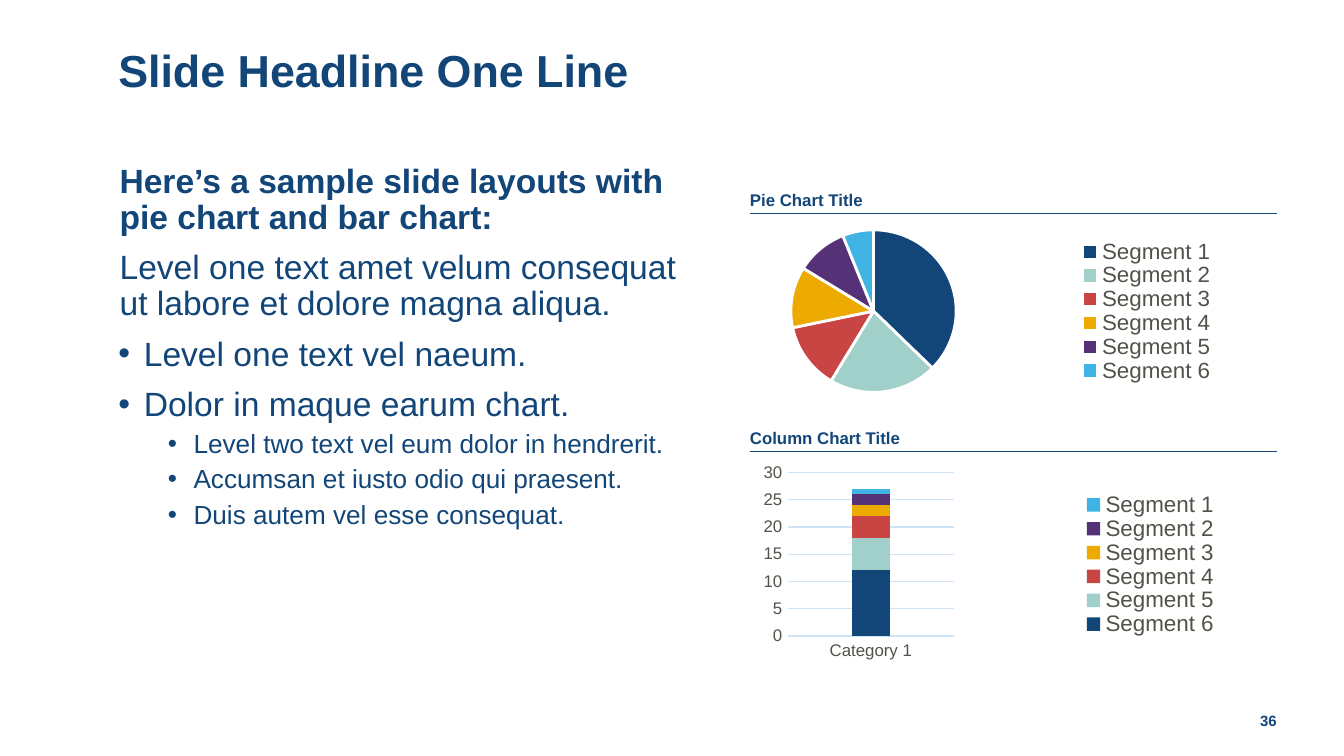
from lxml import etree
from pptx import Presentation
from pptx.chart.data import CategoryChartData
from pptx.dml.color import RGBColor
from pptx.enum.chart import XL_CHART_TYPE, XL_LEGEND_POSITION, XL_TICK_MARK
from pptx.enum.shapes import MSO_CONNECTOR
from pptx.enum.text import MSO_ANCHOR, MSO_AUTO_SIZE, PP_ALIGN
from pptx.oxml.ns import qn
from pptx.util import Inches, Pt


class Theme:
    font = "Arial"
    navy = RGBColor.from_string("134678")
    gray = RGBColor.from_string("515349")
    grid = RGBColor.from_string("CFE3F7")
    white = RGBColor.from_string("FFFFFF")
    segments = [RGBColor.from_string(code) for code in
                ("134678", "A1D0CA", "C94543", "EDAA00", "553278", "40B3E5")]
    headline, level_one, level_two = Pt(24), Pt(18), Pt(14)
    chart_title, legend, axis, page = Pt(9), Pt(12), Pt(9), Pt(8)
    hairline, grid_line, slice_gap = Pt(0.5), Pt(0.75), Pt(1.5)


def style_font(font, size, color, bold=False):
    font.name, font.size, font.bold = Theme.font, size, bold
    font.color.rgb = color


def set_layout(parent, index, fractions, inner=False):
    """Place a plot area or legend at fractions of the chart's size."""
    for old in parent.findall(qn("c:layout")):
        parent.remove(old)
    layout = etree.Element(qn("c:layout"))
    manual = etree.SubElement(layout, qn("c:manualLayout"))
    if inner:
        etree.SubElement(manual, qn("c:layoutTarget"), val="inner")
    for mode in ("xMode", "yMode"):
        etree.SubElement(manual, qn(f"c:{mode}"), val="edge")
    for key, value in zip("xywh", fractions):
        etree.SubElement(manual, qn(f"c:{key}"), val=str(value))
    parent.insert(index, layout)


# Widescreen 16:9 slide
presentation = Presentation()
presentation.slide_width = Inches(10)
presentation.slide_height = Inches(10) * 9 // 16
slide = presentation.slides.add_slide(presentation.slide_layouts[1])
title, body = slide.placeholders

# Headline and body frames
for shape, top, width, height, anchor in ((title, 0, 8.62, 1.09, MSO_ANCHOR.MIDDLE),
                                          (body, 1.22, 4.18, 3.85, MSO_ANCHOR.TOP)):
    shape.left, shape.top = Inches(0.88), Inches(top)
    shape.width, shape.height = Inches(width), Inches(height)
    frame = shape.text_frame
    frame.margin_left = frame.margin_top = frame.margin_right = frame.margin_bottom = 0
    frame.word_wrap, frame.auto_size = True, MSO_AUTO_SIZE.NONE
    frame.vertical_anchor = anchor

paragraph = title.text_frame.paragraphs[0]
paragraph.alignment, paragraph.line_spacing = PP_ALIGN.LEFT, 0.9
run = paragraph.add_run()
run.text = "Slide Headline One Line"
style_font(run.font, Theme.headline, Theme.navy, True)

# Body text: level, bullet, bold, wording
body_lines = [
    (0, False, True, "Here’s a sample slide layouts with pie chart and bar chart:"),
    (0, False, False, "Level one text amet velum consequat ut labore et dolore magna aliqua."),
    (0, True, False, "Level one text vel naeum."),
    (0, True, False, "Dolor in maque earum chart."),
    (1, True, False, "Level two text vel eum dolor in hendrerit."),
    (1, True, False, "Accumsan et iusto odio qui praesent."),
    (1, True, False, "Duis autem vel esse consequat."),
]
for number, (level, bullet, bold, text) in enumerate(body_lines):
    frame = body.text_frame
    paragraph = frame.add_paragraph() if number else frame.paragraphs[0]
    properties = paragraph._p.get_or_add_pPr()
    margin = (0.56 if level else 0.19) if bullet else 0.01
    properties.set("marL", str(Inches(margin)))
    properties.set("indent", str(Inches(-0.19 if bullet else 0)))
    if bullet:
        etree.SubElement(properties, qn("a:buFont"), typeface=Theme.font)
        etree.SubElement(properties, qn("a:buChar"), char="•")
    else:
        etree.SubElement(properties, qn("a:buNone"))
    paragraph.level, paragraph.line_spacing = level, 0.9
    paragraph.space_before = Pt((3.8 if level else 7.5) if number else 0)
    paragraph.space_after = Pt(0)
    run = paragraph.add_run()
    run.text = text
    style_font(run.font, Theme.level_two if level else Theme.level_one, Theme.navy, bold)

# Chart titles and page number
labels = [
    ("Pie Chart Title", 5.58, 1.41, 2.88, 0.47, Theme.chart_title, PP_ALIGN.LEFT, MSO_ANCHOR.TOP),
    ("Column Chart Title", 5.58, 3.18, 2.88, 0.47, Theme.chart_title, PP_ALIGN.LEFT, MSO_ANCHOR.TOP),
    ("36", 9.17, 5.21, 0.33, 0.3, Theme.page, PP_ALIGN.RIGHT, MSO_ANCHOR.MIDDLE),
]
for text, left, top, width, height, size, alignment, anchor in labels:
    box = slide.shapes.add_textbox(Inches(left), Inches(top), Inches(width), Inches(height))
    frame = box.text_frame
    frame.margin_left = frame.margin_top = frame.margin_right = frame.margin_bottom = 0
    frame.word_wrap, frame.vertical_anchor = True, anchor
    paragraph = frame.paragraphs[0]
    paragraph.alignment = alignment
    run = paragraph.add_run()
    run.text = text
    style_font(run.font, size, Theme.navy, True)

# Rules under the chart titles
for top in (1.59, 3.36):
    rule = slide.shapes.add_connector(MSO_CONNECTOR.STRAIGHT, Inches(5.58), Inches(top),
                                      Inches(9.5), Inches(top))
    rule.line.color.rgb, rule.line.width = Theme.navy, Theme.hairline
    etree.SubElement(rule._element.spPr, qn("a:effectLst"))

# Pie chart
pie_data = CategoryChartData()
pie_data.categories = [f"Segment {number}" for number in range(1, 7)]
pie_data.add_series("Series 1", (37, 21, 13, 12, 10, 6))
pie = slide.shapes.add_chart(XL_CHART_TYPE.PIE, Inches(5.39), Inches(1.7),
                             Inches(4.11), Inches(1.23), pie_data).chart
pie.plots[0].vary_by_categories = True
for number, color in enumerate(Theme.segments):
    point_format = pie.plots[0].series[0].points[number].format
    point_format.fill.solid()
    point_format.fill.fore_color.rgb = color
    point_format.line.color.rgb = Theme.white
    point_format.line.width = Theme.slice_gap

# Stacked column chart
column_data = CategoryChartData()
column_data.categories = ["Category 1"]
for number, value in zip(range(6, 0, -1), (12, 6, 4, 2, 2, 1)):
    column_data.add_series(f"Segment {number}", (value,))
column = slide.shapes.add_chart(XL_CHART_TYPE.COLUMN_STACKED, Inches(5.5), Inches(3.41),
                                Inches(4), Inches(1.52), column_data).chart
plot = column.plots[0]
plot.vary_by_categories, plot.gap_width, plot.overlap = False, 338, 100
for series, color in zip(plot.series, Theme.segments):
    series.format.fill.solid()
    series.format.fill.fore_color.rgb = color

for axis in (column.category_axis, column.value_axis):
    axis.major_tick_mark = axis.minor_tick_mark = XL_TICK_MARK.NONE
    style_font(axis.tick_labels.font, Theme.axis, Theme.gray)
values = column.value_axis
values.minimum_scale, values.maximum_scale, values.major_unit = 0, 30, 5
values.format.line.fill.background()
values.has_major_gridlines = True
for line in (values.major_gridlines.format.line, column.category_axis.format.line):
    line.color.rgb, line.width = Theme.grid, Theme.grid_line

# Legends and plot areas
for chart, plot_box, legend_box in (
        (pie, (0.02, 0, 0.5, 1), (0.64, 0.06, 0.25, 0.88)),
        (column, (0.09, 0.07, 0.31, 0.8), (0.64, 0.17, 0.25, 0.7))):
    chart.has_title = False
    style_font(chart.font, Theme.axis, Theme.gray)
    chart.has_legend = True
    chart.legend.position = XL_LEGEND_POSITION.RIGHT
    chart.legend.include_in_layout = False
    style_font(chart.legend.font, Theme.legend, Theme.gray)
    set_layout(chart.legend._element, 1, legend_box)
    set_layout(chart._chartSpace.chart.plotArea, 0, plot_box, inner=True)

presentation.save("out.pptx")
